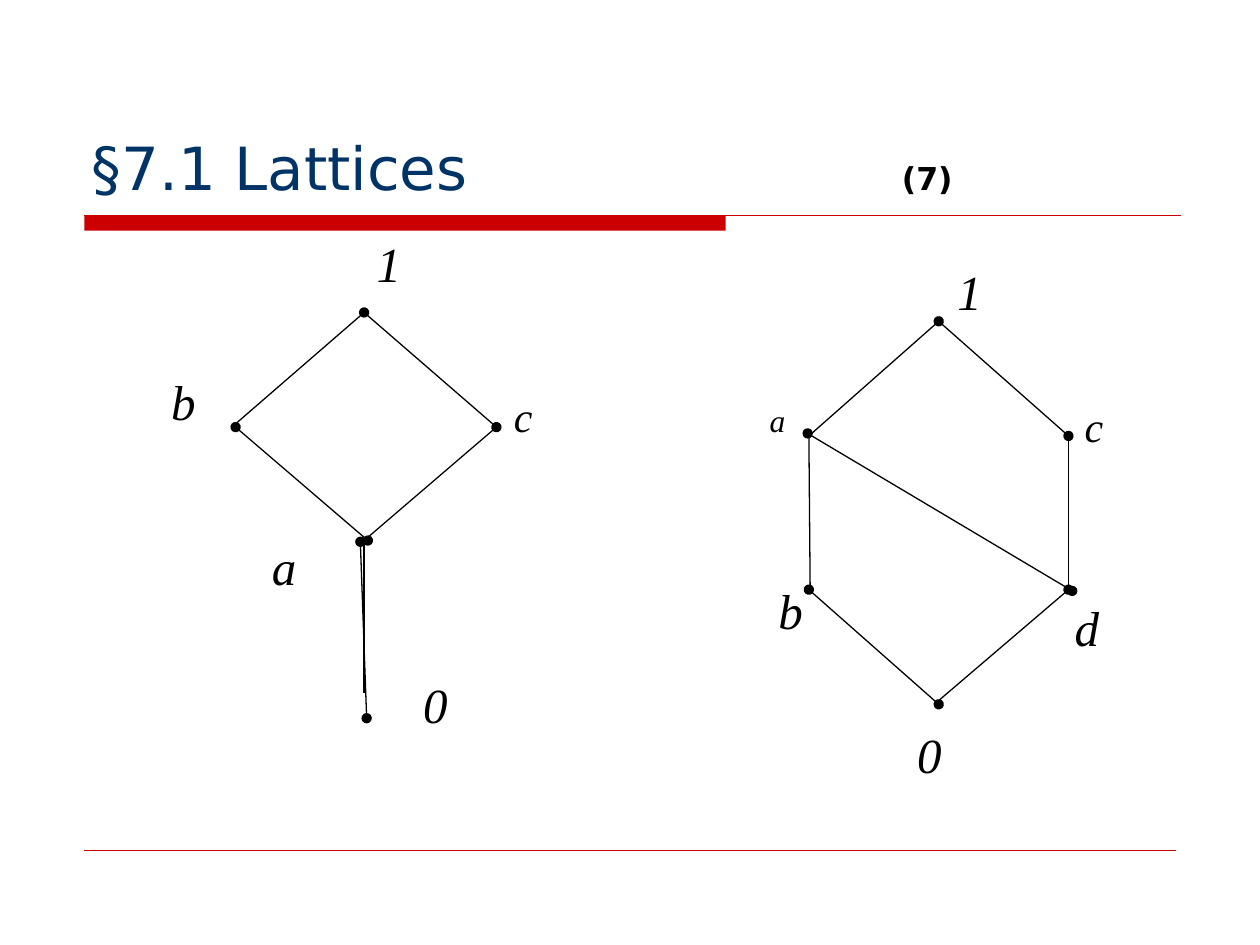
from lxml import etree
from pptx import Presentation
from pptx.dml.color import RGBColor
from pptx.enum.shapes import MSO_CONNECTOR, MSO_SHAPE
from pptx.enum.text import MSO_ANCHOR, PP_ALIGN
from pptx.oxml.ns import qn
from pptx.util import Inches, Pt


def color(hex_value):
    return RGBColor.from_string(hex_value)


def add_line(start, end, ends="", hex_value="000000", width=0.75):
    """Draw a line; ends names the line ends that carry a dot."""
    connector = slide.shapes.add_connector(
        MSO_CONNECTOR.STRAIGHT, *(Inches(value) for value in start + end))
    connector.line.color.rgb = color(hex_value)
    connector.line.width = Pt(width)
    properties = connector._element.spPr
    etree.SubElement(properties, qn("a:effectLst"))
    for name in ends.split():
        etree.SubElement(properties.find(qn("a:ln")), qn(f"a:{name}End"), type="oval")


presentation = Presentation()
presentation.slide_width = Inches(10)
presentation.slide_height = Inches(7.5)
slide = presentation.slides.add_slide(presentation.slide_layouts[6])

# Red title bar with its rule, and the footer rule
bar = slide.shapes.add_shape(
    MSO_SHAPE.RECTANGLE, Inches(0.67), Inches(1.71), Inches(5.09), Inches(0.12))
bar.shadow.inherit = False
bar.fill.solid()
bar.fill.fore_color.rgb = color("CC0000")
bar.line.fill.background()
add_line((0.67, 1.71), (9.37, 1.71), hex_value="CC0000")
add_line((0.67, 6.75), (9.33, 6.75), hex_value="CC0000", width=0.25)

# Title, with the part number at a tab stop
title = slide.shapes.add_textbox(Inches(0.63), Inches(0.33), Inches(8.75), Inches(1.33))
title.text_frame.word_wrap = True
title.text_frame.vertical_anchor = MSO_ANCHOR.BOTTOM
paragraph = title.text_frame.paragraphs[0]
tabs = etree.SubElement(paragraph._p.get_or_add_pPr(), qn("a:tabLst"))
etree.SubElement(tabs, qn("a:tab"), pos=str(Inches(6.43)), algn="l")
for text, size, hex_value, bold in [
    ("§7.1 Lattices\t", 34, "003366", False),
    ("(7)", 18, "000000", True),
]:
    run = paragraph.add_run()
    run.text = text
    run.font.name = "DejaVu Sans"
    run.font.size = Pt(size)
    run.font.bold = bold
    run.font.color.rgb = color(hex_value)

# Edges of both lattices: start, end, dotted ends
edges = [
    # Left lattice: diamond on a stem
    ((2.89, 2.48), (1.84, 3.39), ""),
    ((2.89, 2.48), (3.94, 3.39), "head tail"),
    ((1.87, 3.39), (2.92, 4.29), "head tail"),
    ((2.89, 4.29), (2.89, 5.5), ""),
    ((3.94, 3.39), (2.89, 4.29), ""),
    ((2.91, 5.7), (2.86, 4.3), "head tail"),
    # Right lattice: hexagon with a diagonal
    ((7.45, 2.55), (6.42, 3.46), ""),
    ((7.45, 2.55), (8.48, 3.46), "head tail"),
    ((6.41, 3.44), (8.51, 4.69), "head tail"),
    ((6.42, 4.68), (7.45, 5.59), "head tail"),
    ((8.48, 3.46), (8.48, 4.68), ""),
    ((6.42, 3.46), (6.43, 4.68), ""),
    ((8.48, 4.68), (7.45, 5.56), "head"),
]
for start, end, ends in edges:
    add_line(start, end, ends)

# Vertex labels: text, left, top, height, size
labels = [
    ("a", 2.06, 4.21, 0.51, 28),
    ("b", 1.26, 2.9, 0.51, 28),
    ("0", 3.26, 5.3, 0.61, 28),
    ("c", 3.98, 3.05, 0.45, 24),
    ("1", 2.89, 1.8, 0.61, 28),
    ("0", 7.18, 5.7, 0.51, 28),
    ("b", 6.08, 4.56, 0.91, 28),
    ("d", 8.43, 4.69, 0.61, 28),
    ("c", 8.51, 3.13, 0.52, 24),
    ("a", 6.01, 3.13, 0.44, 18),
    ("1", 7.5, 2.03, 0.56, 28),
]
for text, left, top, height, size in labels:
    label = slide.shapes.add_textbox(Inches(left), Inches(top), Inches(0.7), Inches(height))
    label.text_frame.word_wrap = True
    paragraph = label.text_frame.paragraphs[0]
    paragraph.alignment = PP_ALIGN.JUSTIFY
    run = paragraph.add_run()
    run.text = text
    run.font.name = "Times New Roman"
    run.font.size = Pt(size)
    run.font.italic = True
    run.font.color.rgb = color("000000")

presentation.save("out.pptx")
